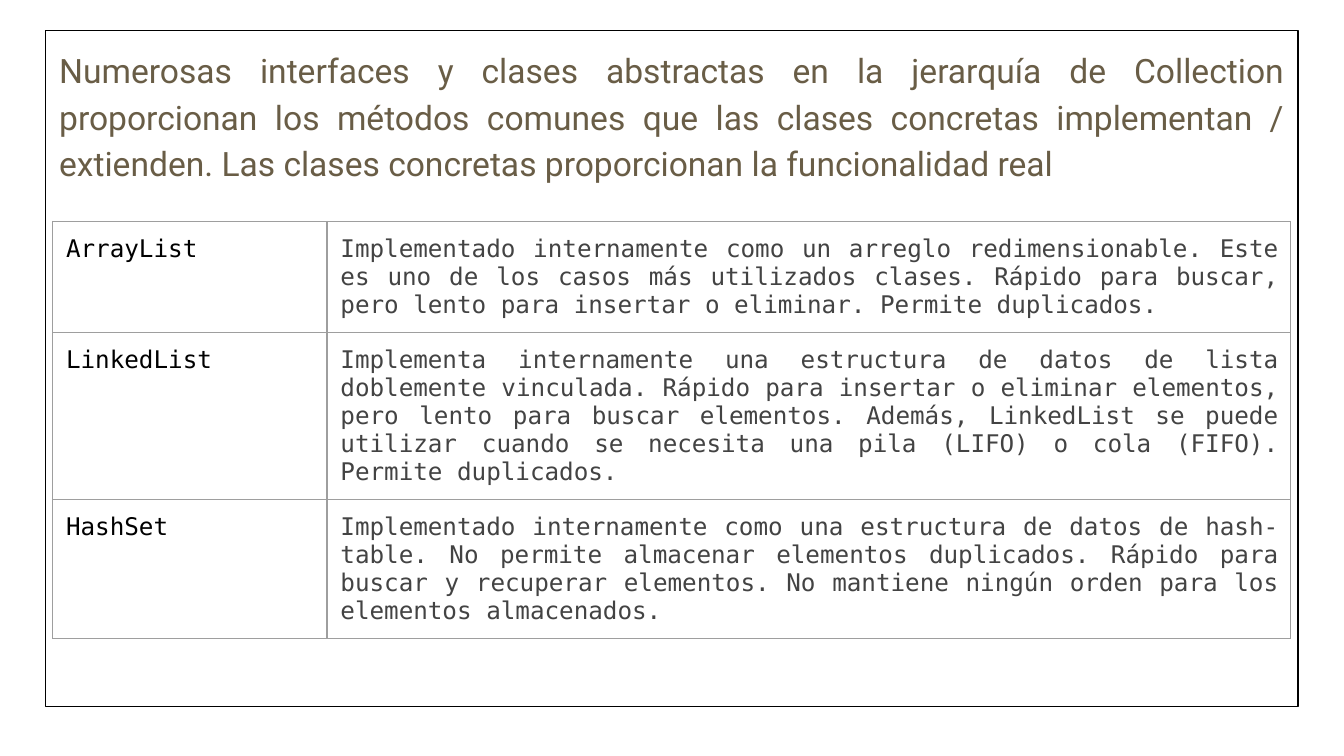
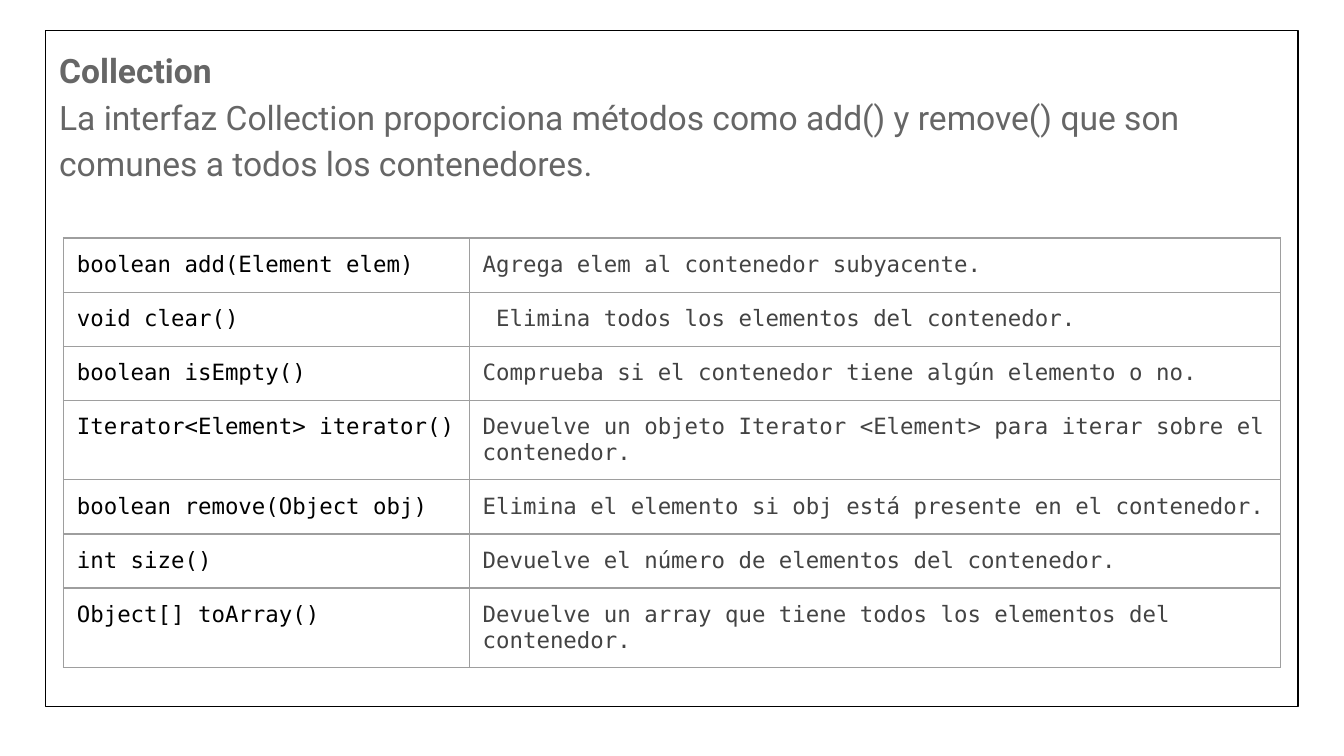
from dataclasses import dataclass

from lxml.etree import SubElement
from pptx import Presentation
from pptx.dml.color import RGBColor
from pptx.enum.text import MSO_ANCHOR, MSO_AUTO_SIZE, PP_ALIGN
from pptx.oxml.ns import qn
from pptx.util import Pt

# Shared style
COLORS = {
    "background": "FFFFFF",
    "frame": "000000",
    "intro": "695D46",
    "heading": "666666",
    "border": "9E9E9E",
    "name": "000000",
    "description": "434343",
}
HEADING_FONT = "Roboto"
CODE_FONT = "DejaVu Sans Mono"
HEADING_SIZE = 18
MARGIN = 7.2
LINE_WIDTH = 0.75
FRAME = (24.5, 16.5, 671, 362)


@dataclass
class Heading:
    text: str
    color: str
    align: PP_ALIGN = PP_ALIGN.LEFT
    bold: bool = False
    space_after: float = 0


@dataclass
class Row:
    name: str
    description: str
    height: float = 29


@dataclass
class Grid:
    left: float
    top: float
    widths: tuple[float, float]
    size: float
    align: PP_ALIGN
    rows: list[Row]


@dataclass
class Page:
    headings: list[Heading]
    grid: Grid


PAGES = [
    Page(
        [Heading("Numerosas interfaces y clases abstractas en la jerarquía de "
                 "Collection proporcionan los métodos comunes que las clases "
                 "concretas implementan / extienden. Las clases concretas "
                 "proporcionan la funcionalidad real",
                 "intro", PP_ALIGN.JUSTIFY, space_after=16)],
        Grid(28.2, 118.7, (147, 516.2), 13, PP_ALIGN.JUSTIFY, [
            Row("ArrayList",
                "Implementado internamente como un arreglo redimensionable. "
                "Este es uno de los casos más utilizados clases. Rápido para "
                "buscar, pero lento para insertar o eliminar. Permite "
                "duplicados.", 59.5),
            Row("LinkedList",
                "Implementa internamente una estructura de datos de lista "
                "doblemente vinculada. Rápido para insertar o eliminar "
                "elementos, pero lento para buscar elementos. Además, "
                "LinkedList se puede utilizar cuando se necesita una pila "
                "(LIFO) o cola (FIFO). Permite duplicados.", 89.5),
            Row("HashSet",
                "Implementado internamente como una estructura de datos de "
                "hash-table. No permite almacenar elementos duplicados. Rápido "
                "para buscar y recuperar elementos. No mantiene ningún orden "
                "para los elementos almacenados.", 74),
        ]),
    ),
    Page(
        [Heading("Collection", "heading", bold=True),
         Heading("La interfaz Collection proporciona métodos como add() y "
                 "remove() que son comunes a todos los contenedores.",
                 "heading")],
        Grid(34, 127.5, (217.4, 434.8), 12, PP_ALIGN.LEFT, [
            Row("boolean add(Element elem)",
                "Agrega elem al contenedor subyacente."),
            Row("void clear()",
                " Elimina todos los elementos del contenedor."),
            Row("boolean isEmpty()",
                "Comprueba si el contenedor tiene algún elemento o no."),
            Row("Iterator<Element> iterator()",
                "Devuelve un objeto Iterator <Element> para iterar sobre el "
                "contenedor.", 42.5),
            Row("boolean remove(Object obj)",
                "Elimina el elemento si obj está presente en el contenedor."),
            Row("int size()",
                "Devuelve el número de elementos del contenedor."),
            Row("Object[] toArray()",
                "Devuelve un array que tiene todos los elementos del "
                "contenedor.", 42.5),
        ]),
    ),
]


def rgb(name: str) -> RGBColor:
    return RGBColor.from_string(COLORS[name])


def set_margins(target) -> None:
    """Apply the common inset to a text frame or a table cell."""
    target.margin_left = target.margin_right = Pt(MARGIN)
    target.margin_top = target.margin_bottom = Pt(MARGIN)


def add_run(p, text: str, font: str, size: float, color: str,
            bold: bool = False) -> None:
    r = p.add_run()
    r.text = text
    r.font.name = font
    r.font.size = Pt(size)
    r.font.bold = bold
    r.font.color.rgb = rgb(color)


def draw_heading(sp, headings: list[Heading]) -> None:
    """Turn the title placeholder into the framed heading."""
    sp.left, sp.top, sp.width, sp.height = map(Pt, FRAME)
    sp.fill.background()
    sp.line.color.rgb = rgb("frame")
    sp.line.width = Pt(LINE_WIDTH)
    tf = sp.text_frame
    tf.word_wrap = True
    tf.auto_size = MSO_AUTO_SIZE.NONE
    tf.vertical_anchor = MSO_ANCHOR.TOP
    set_margins(tf)
    for i, heading in enumerate(headings):
        p = tf.add_paragraph() if i else tf.paragraphs[0]
        p.alignment = heading.align
        p.line_spacing = 1.15
        p.space_before = Pt(0)
        p.space_after = Pt(heading.space_after)
        add_run(p, heading.text, HEADING_FONT, HEADING_SIZE, heading.color,
                heading.bold)


def add_borders(cell) -> None:
    props = cell._tc.get_or_add_tcPr()
    for side in ("lnL", "lnR", "lnT", "lnB"):
        ln = SubElement(props, qn(f"a:{side}"), w=str(Pt(LINE_WIDTH)))
        fill = SubElement(ln, qn("a:solidFill"))
        SubElement(fill, qn("a:srgbClr"), val=COLORS["border"])


def fill_cell(cell, text: str, size: float, color: str,
              align: PP_ALIGN) -> None:
    set_margins(cell)
    cell.vertical_anchor = MSO_ANCHOR.TOP
    add_borders(cell)
    cell.fill.background()
    p = cell.text_frame.paragraphs[0]
    p.alignment = align
    add_run(p, text, CODE_FONT, size, color)


def draw_grid(s, grid: Grid) -> None:
    height = sum(row.height for row in grid.rows)
    table = s.shapes.add_table(
        len(grid.rows), len(grid.widths), Pt(grid.left), Pt(grid.top),
        Pt(sum(grid.widths)), Pt(height)).table
    table.first_row = table.horz_banding = False
    for column, width in zip(table.columns, grid.widths):
        column.width = Pt(width)
    for i, row in enumerate(grid.rows):
        table.rows[i].height = Pt(row.height)
        fill_cell(table.cell(i, 0), row.name, grid.size, "name",
                  PP_ALIGN.LEFT)
        fill_cell(table.cell(i, 1), row.description, grid.size, "description",
                  grid.align)


def main() -> None:
    prs = Presentation()
    prs.slide_width, prs.slide_height = Pt(720), Pt(405)
    background = prs.slide_master.background.fill
    background.solid()
    background.fore_color.rgb = rgb("background")
    title_only = prs.slide_layouts[5]
    for page in PAGES:
        s = prs.slides.add_slide(title_only)
        draw_heading(s.shapes.title, page.headings)
        draw_grid(s, page.grid)
    prs.save("out.pptx")


if __name__ == "__main__":
    main()
